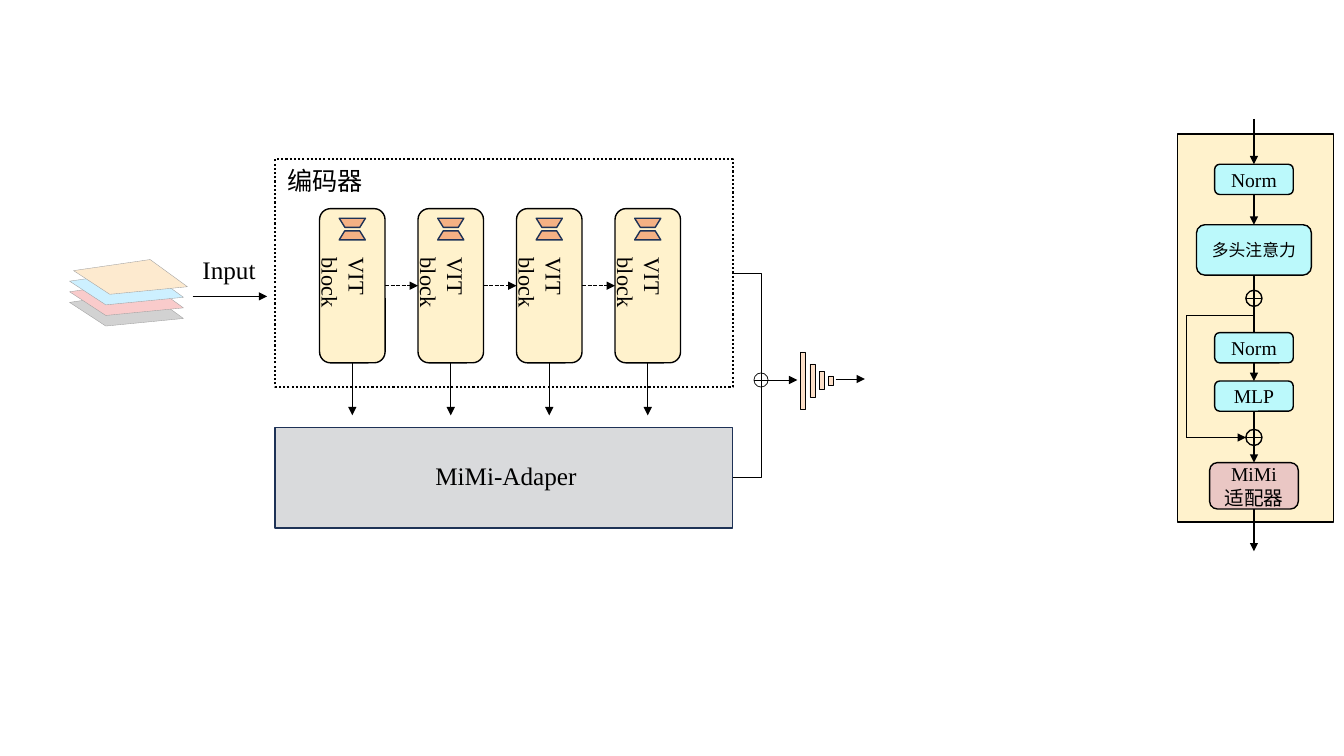
from lxml.etree import SubElement
from pptx import Presentation
from pptx.dml.color import RGBColor
from pptx.enum.dml import MSO_LINE
from pptx.enum.shapes import MSO_CONNECTOR, MSO_SHAPE
from pptx.enum.text import MSO_ANCHOR, MSO_AUTO_SIZE, PP_ALIGN
from pptx.oxml.ns import qn
from pptx.util import Inches, Pt

CELL = Inches(0.1)
COLUMNS, ROWS = 133.33, 75
FONT = "Times New Roman"
TOP, LEFT, BOTTOM, RIGHT = range(4)
COLORS = {
    "black": "000000", "navy": "1E3256", "cream": "FFF2CC", "orange": "F5B184",
    "gray": "D9DADC", "peach": "FCDFC8", "cyan": "BBF9FB", "rose": "EAC7C4",
    "sheet_gray": "D2D2D2", "sheet_red": "F9CBCB", "sheet_blue": "CDF0FF",
    "sheet_sand": "FDEACF", "sheet_edge": "A0A0A0",
}


def color(name):
    """Return the named colour."""
    return RGBColor.from_string(COLORS[name])


def cells(*counts):
    """Convert grid cells to slide lengths."""
    return [round(count * CELL) for count in counts]


def paint(shape, fill, line, weight):
    """Set the fill and outline of a shape and drop its shadow."""
    shape.shadow.inherit = False
    if fill:
        shape.fill.solid()
        shape.fill.fore_color.rgb = color(fill)
    else:
        shape.fill.background()
    shape.line.color.rgb = color(line)
    shape.line.width = Pt(weight)
    return shape


def add_box(page, kind, box, fill=None, line="black", weight=1):
    """Add a preset shape in a box given in cells."""
    return paint(page.shapes.add_shape(kind, *cells(*box)), fill, line, weight)


def write(shape, text, size, align=PP_ALIGN.LEFT):
    """Fill a shape with text, one paragraph for each line."""
    frame = shape.text_frame
    frame.word_wrap = True
    frame.text = text
    for paragraph in frame.paragraphs:
        paragraph.alignment = align
        paragraph.font.size = Pt(size)
        paragraph.font.name = FONT
        paragraph.font.color.rgb = color("black")
    return frame


def add_label(page, box, text, size=18):
    """Add a text box that fits its text."""
    frame = write(page.shapes.add_textbox(*cells(*box)), text, size)
    frame.auto_size = MSO_AUTO_SIZE.SHAPE_TO_FIT_TEXT
    return frame


def add_line(page, start, end, weight=1, arrow=False, dash=None, corner=False,
             source=None, target=None):
    """Draw a straight or one-corner connector, joined to shapes where given."""
    kind = MSO_CONNECTOR.ELBOW if corner else MSO_CONNECTOR.STRAIGHT
    line = page.shapes.add_connector(kind, *cells(*start, *end))
    if source:
        line.begin_connect(*source)
    if target:
        line.end_connect(*target)
    line.line.color.rgb = color("black")
    line.line.width = Pt(weight)
    if dash:
        line.line.dash_style = dash
    properties = line._element.spPr
    if corner:
        properties.find(qn("a:prstGeom")).set("prst", "bentConnector2")
    if arrow:
        SubElement(properties.find(qn("a:ln")), qn("a:tailEnd"), type="triangle")
    SubElement(properties, qn("a:effectLst"))
    return line


def add_sum(page, x, y, size, weight):
    """Draw a circled plus around a centre."""
    half = size / 2
    add_box(page, MSO_SHAPE.OVAL, (x - half, y - half, size, size), weight=weight)
    add_line(page, (x - half, y), (x + half, y), weight)
    add_line(page, (x, y - half), (x, y + half), weight)


def add_input(page, box):
    """Draw the stacked input sheets and the arrow that leaves them."""
    left, top, width, height = box
    sheets = [("sheet_gray", 0, 4.1), ("sheet_red", 0, 3.05),
              ("sheet_blue", 0, 2), ("sheet_sand", 0.4, 0.95)]
    outline = [(7.6, -1.1), (11.3, 1.6), (3.6, 2.35)]
    for fill, shift, drop in sheets:
        x, y = left + shift, top + drop
        builder = page.shapes.build_freeform(*cells(x, y))
        builder.add_line_segments([cells(x + dx, y + dy) for dx, dy in outline])
        paint(builder.convert_to_shape(), fill, "sheet_edge", 0.25)
    add_line(page, (left + 12.2, top + 3.5), (left + width, top + 3.5), arrow=True)
    add_label(page, (left + 12.2, top - 1.2, 7.4, 4), "Input")


def add_block(page, box):
    """Draw one transformer block with its hourglass and sideways label."""
    left, top, width, height = box
    block = add_box(page, MSO_SHAPE.ROUNDED_RECTANGLE, box, "cream")
    frame = add_label(page, (left + 0.9, top + 3.9, 4.7, 10.7), "VIT block", 16)
    frame._txBody.bodyPr.set("vert", "eaVert")
    for drop, turn in ((2.2, 0), (0.95, 180)):
        half = add_box(page, MSO_SHAPE.TRAPEZOID,
                       (left + width / 2 - 1.3, top + drop, 2.6, 0.9), "orange", "navy")
        half.adjustments[0] = 0.617
        half.rotation = turn
    return block


def add_encoder(page, box):
    """Draw the dotted encoder with its chain of blocks."""
    left, top, width, height = box
    frame = add_box(page, MSO_SHAPE.RECTANGLE, box, weight=1.5)
    frame.line.dash_style = MSO_LINE.ROUND_DOT
    add_label(page, (left + 0.2, top + 0.1, 12.3, 4), "编码器")
    previous = None
    for index in range(4):
        x, y = left + 4.4 + 9.77 * index, top + 4.9
        block = add_block(page, (x, y, 6.5, 15.3))
        center = x + 3.25
        add_line(page, (center, y + 15.3), (center, top + 25.4), arrow=True,
                 source=(block, BOTTOM))
        if previous:
            add_line(page, (x - 3.27, y + 7.65), (x, y + 7.65), arrow=True,
                     dash=MSO_LINE.SQUARE_DOT, source=(previous, RIGHT),
                     target=(block, LEFT))
        previous = block


def add_adapter(page, box):
    """Draw the adapter bar below the encoder."""
    left, top, width, height = box
    add_box(page, MSO_SHAPE.RECTANGLE, box, "gray", "navy")
    add_label(page, (left + 14.9, top + 2.8, 17.1, 4), "MiMi-Adaper")


def add_merge(page, box):
    """Join encoder and adapter, then draw the shrinking output bars."""
    left, top, width, height = box
    x, y = left + 2.8, top + 10.6
    add_line(page, (left, top), (x, y - 0.7), 0.5, corner=True)
    add_line(page, (left, top + height), (x, y + 0.7), 0.5, corner=True)
    add_sum(page, x, y, 1.4, 0.5)
    add_line(page, (x + 0.7, y), (x + 3.6, y), 0.5, arrow=True)
    for index, tall in enumerate((5.7, 3.3, 1.8, 0.9)):
        add_box(page, MSO_SHAPE.RECTANGLE,
                (x + 3.9 + 0.93 * index, y + 0.05 - tall / 2, 0.5, tall),
                "peach", weight=0.3)
    add_line(page, (x + 7.4, y - 0.1), (left + width, y - 0.1), 0.5, arrow=True)


def add_detail(page, box):
    """Draw the inner steps of one block from top to bottom."""
    left, top, width, height = box
    axis, bypass = left + 7.6, left + 0.9
    add_box(page, MSO_SHAPE.RECTANGLE, box, "cream")
    steps = [("Norm", 3, 7.8, 3, 14, "cyan"), ("多头注意力", 9, 11.4, 5, 12, "cyan"),
             ("Norm", 19.7, 7.8, 3, 14, "cyan"), ("MLP", 24.5, 7.8, 3, 14, "cyan"),
             ("MiMi\n适配器", 32.6, 8.8, 4.6, 14, "rose")]
    nodes = []
    for text, drop, wide, tall, size, fill in steps:
        node = add_box(page, MSO_SHAPE.ROUNDED_RECTANGLE,
                       (axis - wide / 2, top + drop, wide, tall), fill)
        write(node, text, size, PP_ALIGN.CENTER).vertical_anchor = MSO_ANCHOR.MIDDLE
        nodes.append(node)
    norm, attention, second_norm, mlp, adapter = nodes
    flows = [(-1.5, 3, True, None, norm), (6, 9, True, norm, attention),
             (14, 15.5, False, attention, None), (17.1, 19.7, False, None, second_norm),
             (22.7, 24.5, True, second_norm, mlp), (27.5, 29.3, False, mlp, None),
             (30.9, 32.6, True, None, adapter), (37.2, 41.4, True, adapter, None)]
    for start, end, arrow, source, target in flows:
        add_line(page, (axis, top + start), (axis, top + end), arrow=arrow,
                 source=source and (source, BOTTOM), target=target and (target, TOP))
    for drop in (16.3, 30.1):
        add_sum(page, axis, top + drop, 1.6, 1)
    route = [(axis, top + 18), (bypass, top + 18),
             (bypass, top + 30.1), (axis - 0.8, top + 30.1)]
    for start, end in zip(route, route[1:]):
        add_line(page, start, end, arrow=end == route[-1])


def main():
    """Build the slide and save the deck."""
    deck = Presentation()
    deck.slide_width, deck.slide_height = cells(COLUMNS, ROWS)
    page = deck.slides.add_slide(deck.slide_layouts[6])
    add_input(page, (6.9, 25.9, 19.6, 6.5))
    add_encoder(page, (27.3, 15.8, 45.4, 22.6))
    add_adapter(page, (27.3, 42.4, 45.4, 10))
    add_merge(page, (72.7, 27.1, 13.1, 20.3))
    add_detail(page, (116.8, 13.3, 15.5, 38.5))
    deck.save("out.pptx")


if __name__ == "__main__":
    main()
